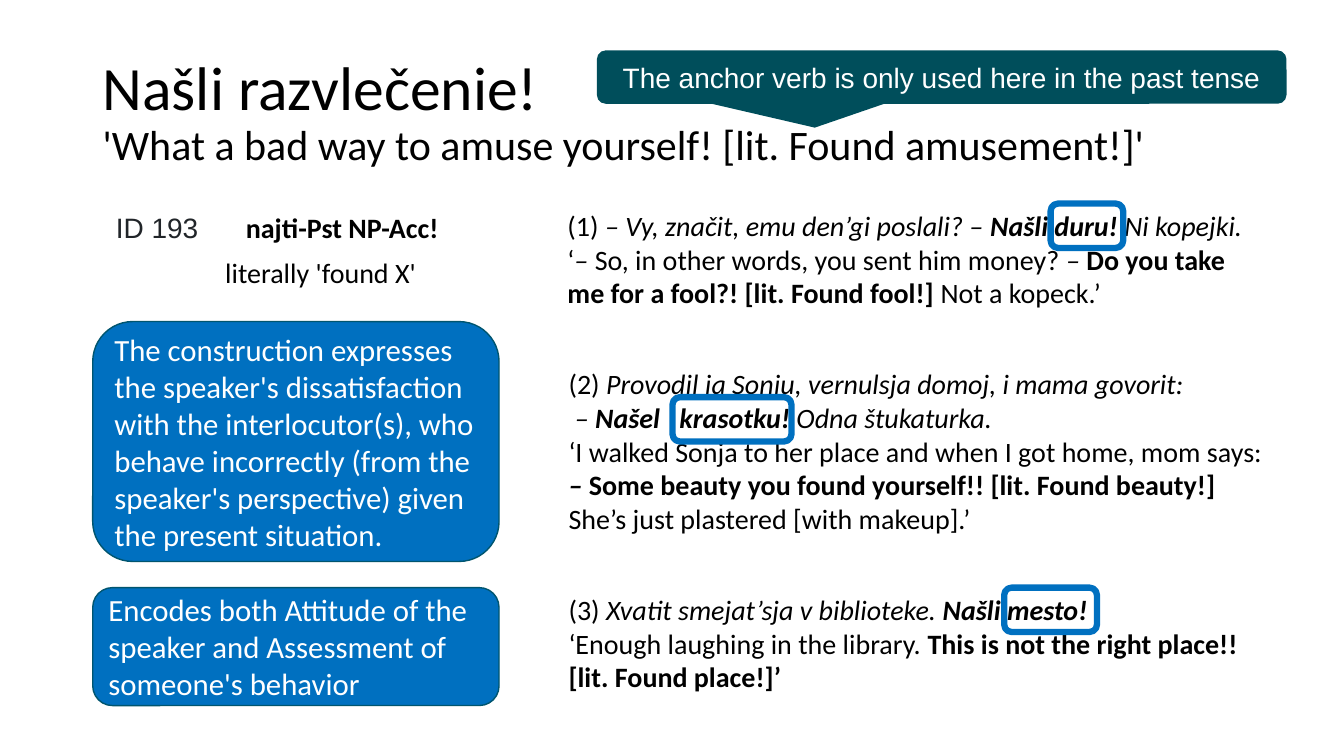
from lxml import etree
from pptx import Presentation
from pptx import util as u
from pptx.dml.color import RGBColor
from pptx.enum import shapes, text
from pptx.oxml.ns import qn

BLACK = RGBColor(0x00, 0x00, 0x00)
WHITE = RGBColor(0xFF, 0xFF, 0xFF)
GREY = RGBColor(0x21, 0x25, 0x29)
BLUE = RGBColor(0x00, 0x70, 0xC0)
EDGE = RGBColor(0x00, 0x55, 0x6F)
TEAL = RGBColor(0x00, 0x4E, 0x5B)

deck = Presentation()
deck.slide_width, deck.slide_height = u.Inches(13.33), u.Inches(7.5)
page = deck.slides.add_slide(deck.slide_layouts[6])


def add_spans(para, spans, size=20, color=BLACK, font="Calibri"):
    for words, style in spans:
        span = para.add_run()
        span.text = words
        span.font.name = font
        span.font.size = u.Pt(size)
        span.font.color.rgb = color
        span.font.bold = "b" in style
        span.font.italic = "i" in style


def add_tab(para, inches):
    tabs = etree.SubElement(para._p.get_or_add_pPr(), qn("a:tabLst"))
    etree.SubElement(tabs, qn("a:tab"), pos=str(u.Inches(inches)), algn="l")


title = page.shapes.add_textbox(*map(u.Inches, (0.92, 0.4, 11.5, 1.45)))
title.text_frame.word_wrap = True
title.text_frame.vertical_anchor = text.MSO_ANCHOR.MIDDLE
para = title.text_frame.paragraphs[0]
para.line_spacing = 0.9
add_spans(para, [("Našli razvlečenie!", "")], 44)
para.add_line_break()
add_spans(para, [("'What a bad way to amuse yourself! [lit. Found amusement!]'", "")], 30)

pattern = page.shapes.add_textbox(*map(u.Inches, (1.05, 2.08, 3.77, 0.84)))
pattern.text_frame.word_wrap = True
para = pattern.text_frame.paragraphs[0]
add_tab(para, 1.29)
para.line_spacing = 0.9
add_spans(para, [("ID 193", "")], color=GREY, font="Arial")
add_spans(para, [("\tnajti-Pst NP-Acc!", "b")])
para = pattern.text_frame.add_paragraph()
para._p.get_or_add_pPr().set("marL", str(u.Inches(0.49)))
para.alignment = text.PP_ALIGN.CENTER
para.line_spacing = 0.9
para.space_before = u.Pt(10)
add_spans(para, [("literally 'found X'", "")])

examples = [
    ((5.53, 2.02, 6.9, 1.11), [
        [("(1) ", ""), ("– Vy, značit, emu den’gi poslali? – ", "i"),
         ("Našli duru! ", "bi"), ("Ni kopejki.", "i")],
        [("‘", ""), ("– ", "i"), ("So, in other words, you sent him money? ", ""),
         ("– ", "i"), ("Do you take me for a fool?! [lit. Found fool!] ", "b"),
         ("Not a kopeck.’", "")],
    ]),
    ((5.54, 3.59, 7.22, 1.78), [
        [("(2) ", ""), ("Provodil ja Sonju, vernulsja domoj, i mama govorit:", "i")],
        [(" – ", "i"), ("Našel\tkrasotku! ", "bi"), ("Odna štukaturka.", "i")],
        [("‘I walked Sonja to her place and when I got home, mom says: ", ""),
         ("–", "bi"), (" Some beauty you found yourself!! [lit. Found beauty!]", "b"),
         (" She’s just plastered [with makeup].’", "")],
    ]),
    ((5.54, 5.83, 6.88, 1.11), [
        [("(3) ", ""), ("Xvatit smejat’sja v biblioteke. ", "i"), ("Našli mesto!", "bi")],
        [("‘Enough laughing in the library. ", ""),
         ("This is not the right place!! [lit. Found place!]’", "b")],
    ]),
]
for place, lines in examples:
    box = page.shapes.add_textbox(*map(u.Inches, place))
    box.text_frame.word_wrap = True
    for number, spans in enumerate(lines):
        para = box.text_frame.add_paragraph() if number else box.text_frame.paragraphs[0]
        if any("\t" in words for words, style in spans):
            add_tab(para, 1.1)
        add_spans(para, spans)

ROUND = shapes.MSO_SHAPE.ROUNDED_RECTANGLE
CALLOUT = shapes.MSO_SHAPE.ROUNDED_RECTANGULAR_CALLOUT
LEFT, CENTER = text.PP_ALIGN.LEFT, text.PP_ALIGN.CENTER
panels = [
    (ROUND, (0.92, 3.19, 4.03, 2.38), BLUE, EDGE, LEFT, 22, "Calibri",
     "The construction expresses the speaker's dissatisfaction with the interlocutor(s), "
     "who behave incorrectly (from the speaker's perspective) given the present situation."),
    (ROUND, (0.92, 5.83, 4.03, 1.17), BLUE, EDGE, LEFT, 22, "Calibri",
     "Encodes both Attitude of the speaker and Assessment of someone's behavior"),
    (CALLOUT, (5.92, 0.5, 6.84, 0.53), TEAL, None, CENTER, 20, "Arial",
     "The anchor verb is only used here in the past tense"),
]
for kind, place, fill, edge, align, size, font, words in panels:
    panel = page.shapes.add_shape(kind, *map(u.Inches, place))
    panel.shadow.inherit = False
    panel.fill.solid()
    panel.fill.fore_color.rgb = fill
    if edge is None:
        panel.line.fill.background()
    else:
        panel.line.color.rgb = edge
        panel.line.width = u.Pt(1)
    if kind == CALLOUT:
        panel.adjustments[0] = -0.184
        panel.adjustments[1] = 0.947
    panel.text_frame.word_wrap = True
    panel.text_frame.vertical_anchor = text.MSO_ANCHOR.MIDDLE
    para = panel.text_frame.paragraphs[0]
    para.alignment = align
    add_spans(para, [(words, "")], size, WHITE, font)

for left, top, width in [(10.42, 2.02, 0.72), (6.67, 3.94, 1.18), (9.96, 5.83, 0.92)]:
    marker = page.shapes.add_shape(
        shapes.MSO_SHAPE.FLOWCHART_ALTERNATE_PROCESS,
        *map(u.Inches, (left, top, width, 0.44)))
    marker.shadow.inherit = False
    marker.fill.background()
    marker.line.color.rgb = BLUE
    marker.line.width = u.Pt(4.5)

deck.save("out.pptx")
